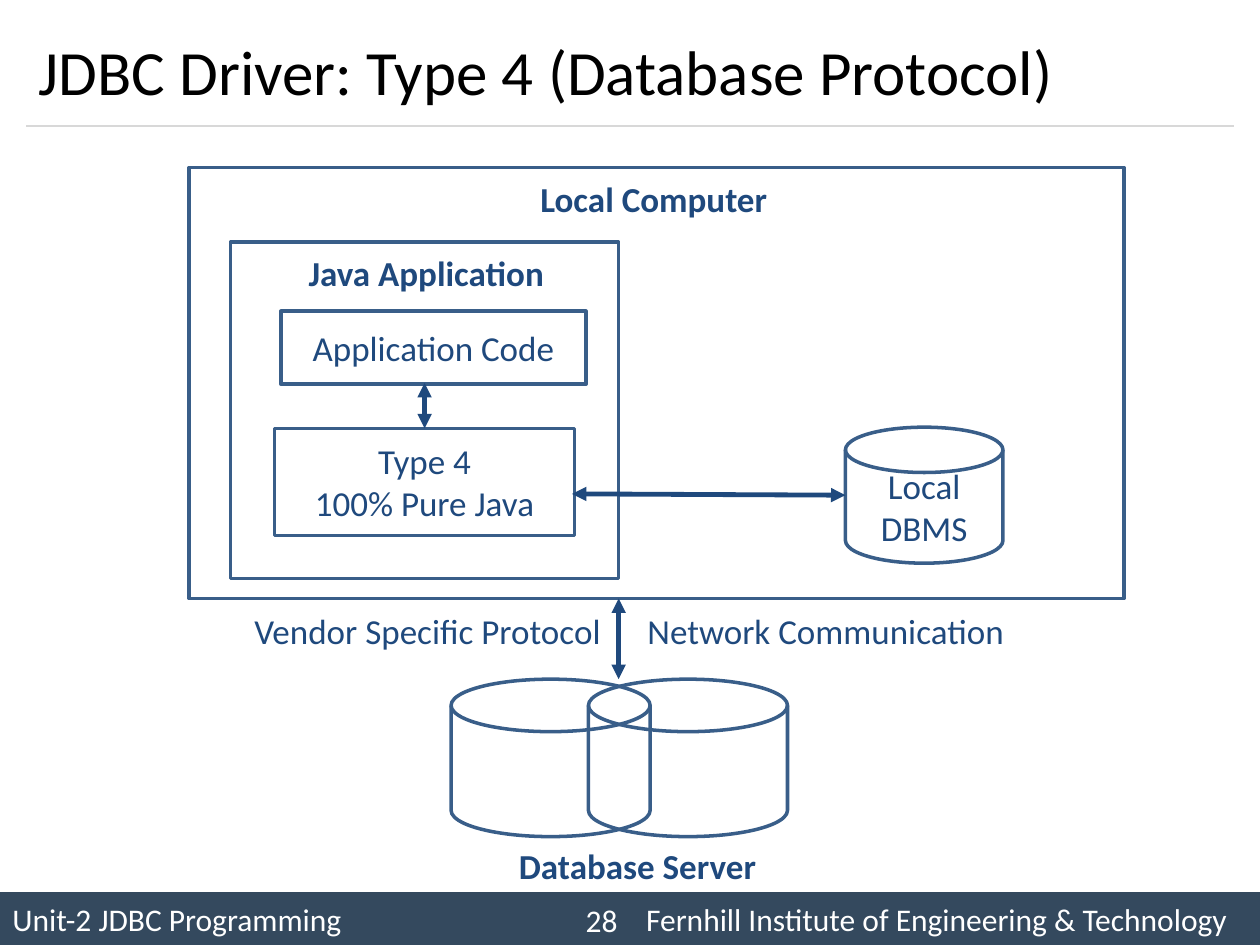
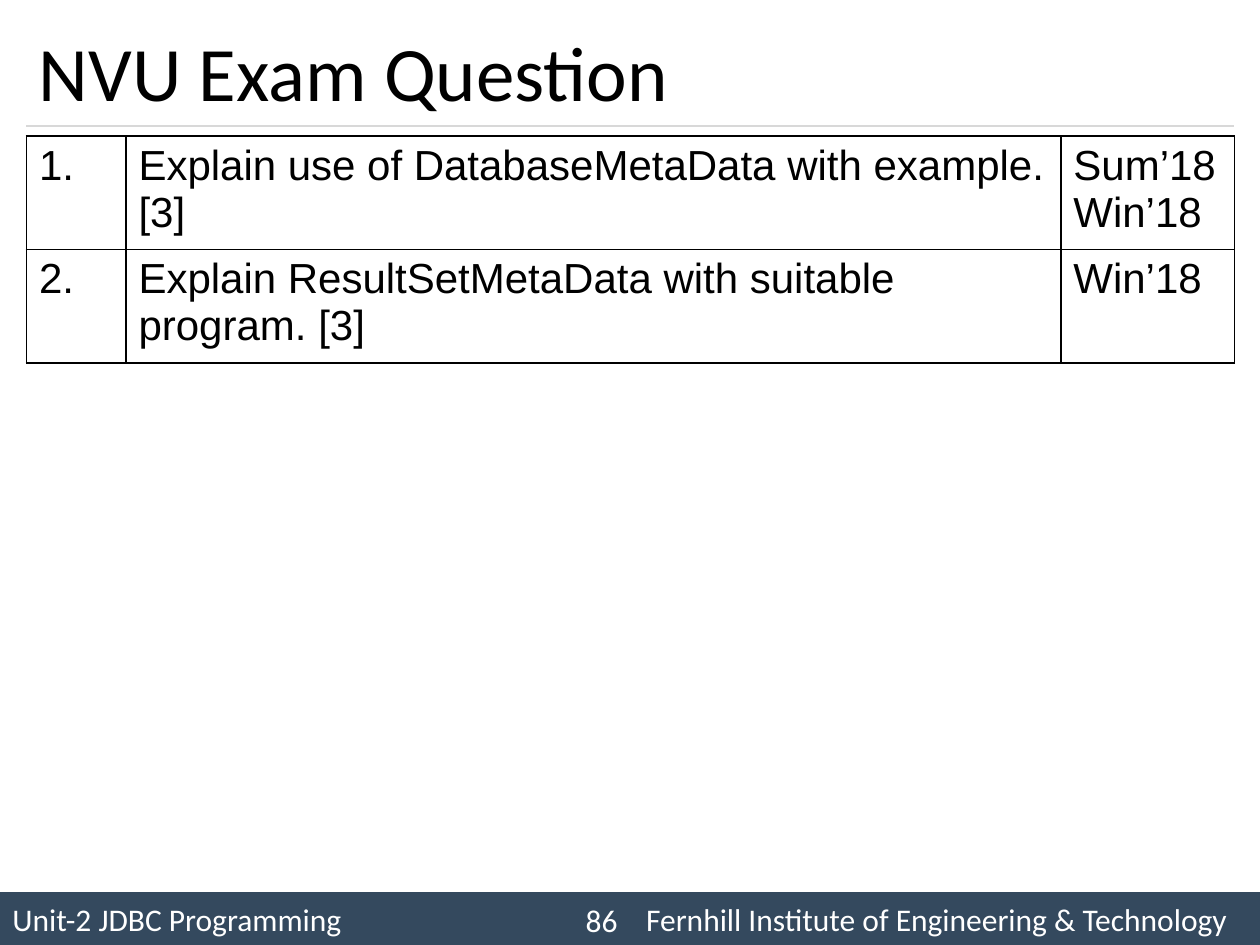
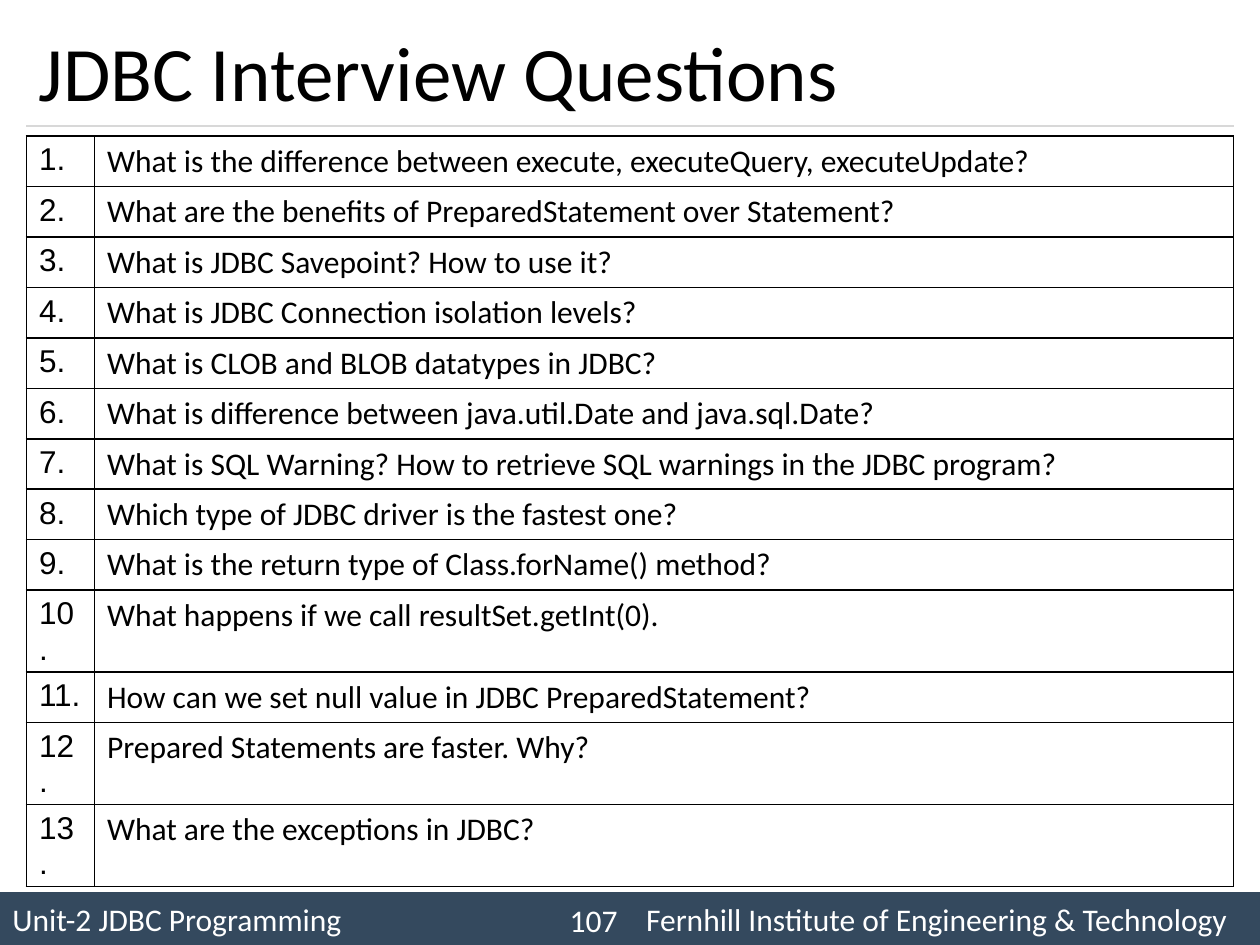
from lxml.etree import SubElement
from pptx import Presentation
from pptx.dml.color import RGBColor as RGB
from pptx.enum.shapes import MSO_CONNECTOR as CONN, MSO_SHAPE as SHAPE
from pptx.enum.text import MSO_ANCHOR as ANCHOR, PP_ALIGN as ALIGN
from pptx.oxml import parse_xml
from pptx.oxml.ns import nsdecls, qn
from pptx.util import Inches, Pt

C = {"band": "34495E", "rule": "D8D8D8", "edge": "395E89",
     "navy": "1F497D", "black": "000000", "white": "FFFFFF"}
MARGIN, CONTENT_W = 0.21, 9.58


def write(tf, text, size, color, font="Calibri", bold=False, align=ALIGN.LEFT):
    tf.word_wrap = True
    tf.text = text
    for p in tf.paragraphs:
        p.alignment = align
        p.font.size = Pt(size)
        p.font.bold = bold
        p.font.color.rgb = RGB.from_string(C[color])
        for r in p.runs:
            r.font.name = font
            r.font.size = Pt(size)


def add_line(s, x1, y1, x2, y2, color, width, arrows=False):
    cx = s.shapes.add_connector(CONN.STRAIGHT, *map(Inches, (x1, y1, x2, y2)))
    cx.line.color.rgb = RGB.from_string(C[color])
    cx.line.width = Pt(width)
    if arrows:
        for end in ("a:headEnd", "a:tailEnd"):
            SubElement(cx.line._get_or_add_ln(), qn(end), type="triangle")
    SubElement(cx._element.spPr, qn("a:effectLst"))


prs = Presentation()
prs.slide_width, prs.slide_height = Inches(10), Inches(7.5)

pages = [
    ("JDBC Driver: Type 4 (Database Protocol)", 36, 28),
    ("NVU Exam Question", 44, 86),
    ("JDBC Interview Questions", 44, 107),
]
for title, size, number in pages:
    s = prs.slides.add_slide(prs.slide_layouts[6])
    sp = s.shapes.add_shape(SHAPE.RECTANGLE, 0, Inches(7.08), Inches(10), Inches(0.42))
    sp.shadow.inherit = False
    sp.fill.solid()
    sp.fill.fore_color.rgb = RGB.from_string(C["band"])
    sp.line.fill.background()
    write(sp.text_frame,
          "Unit-2 JDBC Programming\tFernhill Institute of Engineering & Technology",
          18, "white")
    tabs = SubElement(sp.text_frame.paragraphs[0]._p.get_or_add_pPr(), qn("a:tabLst"))
    SubElement(tabs, qn("a:tab"), pos=str(Inches(5.03)), algn="l")
    tabs.getparent().insert(0, tabs)
    add_line(s, MARGIN, 1, MARGIN + CONTENT_W, 1, "rule", 0.75)
    for text, box, pt, color, align in [
        (title, (MARGIN, 0.12, CONTENT_W, 0.88), size, "black", ALIGN.LEFT),
        (str(number), (4.17, 7.1, 0.83, 0.4), 18, "white", ALIGN.RIGHT),
    ]:
        tf = s.shapes.add_textbox(*map(Inches, box)).text_frame
        tf.vertical_anchor = ANCHOR.MIDDLE
        write(tf, text, pt, color, align=align)

driver, exam, interview = prs.slides

RECT, DISK = SHAPE.RECTANGLE, SHAPE.FLOWCHART_MAGNETIC_DISK
nodes = [
    (RECT, 1.5, 1.33, 7.42, 3.42, ""),
    (RECT, 1.83, 1.92, 3.08, 2.67, ""),
    (RECT, 2.23, 2.47, 2.42, 0.58, "Application Code"),
    (RECT, 2.18, 3.4, 2.38, 0.85, "Type 4\n100% Pure Java"),
    (DISK, 6.71, 3.39, 1.25, 1.08, "Local DBMS"),
    (DISK, 3.58, 5.39, 1.58, 1.25, ""),
    (DISK, 4.67, 5.39, 1.58, 1.25, ""),
]
for kind, x, y, w, h, text in nodes:
    sp = driver.shapes.add_shape(kind, *map(Inches, (x, y, w, h)))
    sp.shadow.inherit = False
    sp.fill.background()
    sp.line.color.rgb = RGB.from_string(C["edge"])
    sp.line.width = Pt(2)
    if text:
        write(sp.text_frame, text, 20, "navy", align=ALIGN.CENTER)

labels = [
    ("Local Computer", 4.19, 1.36, 2.05, True),
    ("Java Application", 2.35, 1.95, 2.15, True),
    ("Database Server", 4.02, 6.65, 2.1, True),
    ("Vendor Specific Protocol", 1.92, 4.79, 3.08, False),
    ("Network Communication", 5.04, 4.79, 3.12, False),
]
for text, x, y, w, bold in labels:
    tb = driver.shapes.add_textbox(*map(Inches, (x, y, w, 0.44)))
    write(tb.text_frame, text, 20, "navy", bold=bold)

for ends in [(3.37, 3.04, 3.37, 3.4), (4.91, 4.75, 4.91, 5.39), (4.54, 3.92, 6.71, 3.93)]:
    add_line(driver, *ends, "navy", 2.75, arrows=True)

exam_questions = [
    ("Explain use of DatabaseMetaData with example.[3]", "Sum’18\nWin’18"),
    ("Explain ResultSetMetaData with suitable program. [3]", "Win’18"),
]
interview_questions = [
    ("What is the difference between execute, executeQuery, executeUpdate?",),
    ("What are the benefits of PreparedStatement over Statement?",),
    ("What is JDBC Savepoint? How to use it?",),
    ("What is JDBC Connection isolation levels?",),
    ("What is CLOB and BLOB datatypes in JDBC?",),
    ("What is difference between java.util.Date and java.sql.Date?",),
    ("What is SQL Warning? How to retrieve SQL warnings in the JDBC program?",),
    ("Which type of JDBC driver is the fastest one?",),
    ("What is the return type of Class.forName() method?",),
    ("What happens if we call resultSet.getInt(0).",),
    ("How can we set null value in JDBC PreparedStatement?",),
    ("Prepared Statements are faster. Why?",),
    ("What are the exceptions in JDBC?",),
]
tables = [
    (exam, exam_questions, (0.79, 7.42, 1.38), 24, "Arial"),
    (interview, interview_questions, (0.54, 9.04), 18, "Calibri"),
]
for s, questions, widths, size, font in tables:
    table = s.shapes.add_table(
        len(questions), len(widths), Inches(MARGIN), Inches(1.08),
        Inches(CONTENT_W), Inches(0.4 * len(questions))).table
    table.first_row = table.horz_banding = False
    for col, w in zip(table.columns, widths):
        col.width = Inches(w)
    for i, question in enumerate(questions):
        for j, text in enumerate((f"{i + 1}.", *question)):
            cell = table.cell(i, j)
            cell.fill.background()
            write(cell.text_frame, text, size, "black", font if j else "Arial")
            for k, side in enumerate("LRTB"):
                cell._tc.get_or_add_tcPr().insert(k, parse_xml(
                    f'<a:ln{side} {nsdecls("a")} w="{Pt(1)}"><a:solidFill>'
                    f'<a:srgbClr val="{C["black"]}"/></a:solidFill></a:ln{side}>'))
        table.cell(i, 0).margin_bottom = 0

prs.save("out.pptx")
